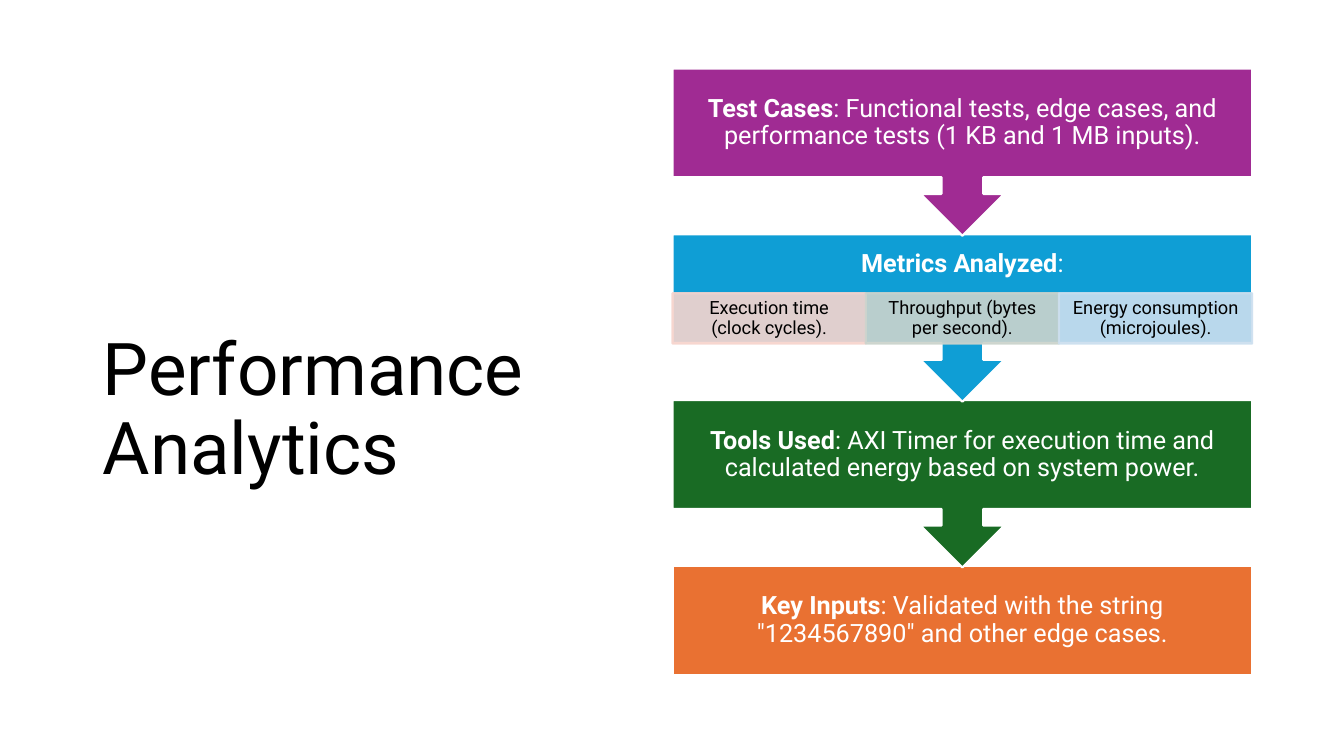
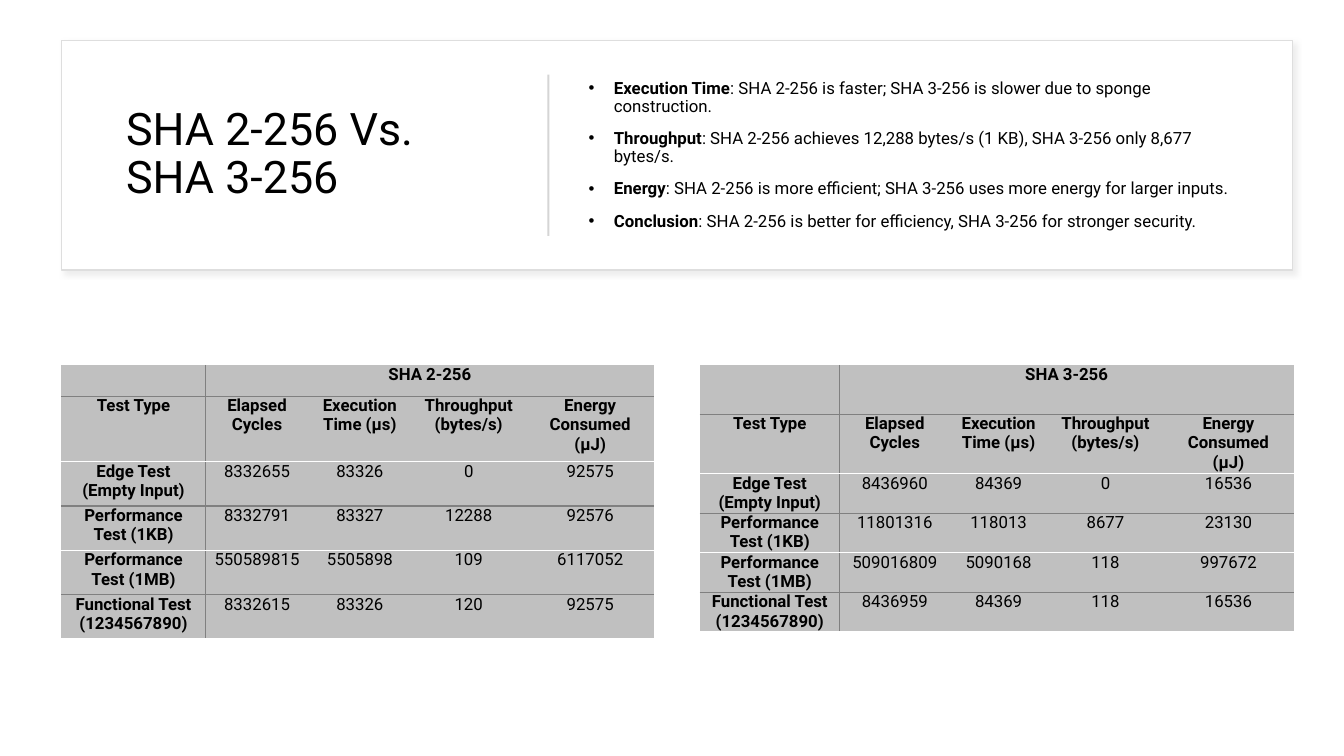
"""Build two slides on the performance of SHA 2-256 and SHA 3-256."""
from dataclasses import dataclass
from typing import Any, NamedTuple, Optional

import lxml.etree
import pptx
import pptx.dml.color
import pptx.enum.shapes
import pptx.enum.text
import pptx.oxml.ns
import pptx.util

Inches = pptx.util.Inches
Pt = pptx.util.Pt
RGBColor = pptx.dml.color.RGBColor
Preset = pptx.enum.shapes.MSO_SHAPE
Align = pptx.enum.text.PP_ALIGN
Anchor = pptx.enum.text.MSO_ANCHOR
qn = pptx.oxml.ns.qn

FONT = "Roboto"
BLACK = RGBColor(0x00, 0x00, 0x00)
WHITE = RGBColor(0xFF, 0xFF, 0xFF)
PURPLE = RGBColor(0xA0, 0x2B, 0x93)
BLUE = RGBColor(0x0F, 0x9E, 0xD5)
GREEN = RGBColor(0x19, 0x6B, 0x24)
ORANGE = RGBColor(0xE9, 0x71, 0x32)
PINK_TINT = RGBColor(0xF7, 0xD5, 0xCE)
GREEN_TINT = RGBColor(0xCC, 0xD4, 0xCD)
BLUE_TINT = RGBColor(0xCC, 0xDF, 0xEF)
CARD_EDGE = RGBColor(0xDE, 0xDE, 0xDE)
CARD_SHADOW = RGBColor(0xC5, 0xC5, 0xC5)
DIVIDER = RGBColor(0xD5, 0xD5, 0xD5)
CELL_GREY = RGBColor(0xC0, 0xC0, 0xC0)
RULE_GREY = RGBColor(0x80, 0x80, 0x80)

FLOW_LEFT, FLOW_TOP, FLOW_WIDTH = 6.67, 0.68, 5.75
STEP_HEIGHT, CALLOUT_HEIGHT, STEP_PITCH = 1.08, 1.66, 1.645
METRICS_TOP, METRIC_HEIGHT = 2.91, 0.5
TABLE_TOP = 3.62


class Box(NamedTuple):
    """Left, top, width and height in inches."""

    left: float
    top: float
    width: float
    height: float

    def lengths(self) -> list[int]:
        """Return the four measures as lengths."""
        return [Inches(value) for value in self]


class Point(NamedTuple):
    """A bold lead followed by plain text."""

    lead: str
    rest: str


@dataclass(frozen=True)
class Step:
    """One stage of the flow."""

    point: Point
    colour: RGBColor
    bottom_inset: float = 0.14


@dataclass(frozen=True)
class Metric:
    """One measured quantity under a stage."""

    label: str
    colour: RGBColor


@dataclass(frozen=True)
class Results:
    """Measurements of one hash function."""

    algorithm: str
    left: float
    columns: tuple[float, ...]
    rows: tuple[float, ...]
    values: tuple[tuple[str, ...], ...]


STEPS = (
    Step(Point("Test Cases", ": Functional tests, edge cases, and performance tests (1 KB and 1 MB inputs)."), PURPLE),
    Step(Point("Metrics Analyzed", ":"), BLUE, 0.63),
    Step(Point("Tools Used", ": AXI Timer for execution time and calculated energy based on system power."), GREEN),
    Step(Point("Key Inputs", ": Validated with the string \"1234567890\" and other edge cases."), ORANGE),
)
METRICS = (
    Metric("Execution time (clock cycles).", PINK_TINT),
    Metric("Throughput (bytes per second).", GREEN_TINT),
    Metric("Energy consumption (microjoules).", BLUE_TINT),
)
FINDINGS = (
    Point("Execution Time", ": SHA 2-256 is faster; SHA 3-256 is slower due to sponge construction."),
    Point("Throughput", ": SHA 2-256 achieves 12,288 bytes/s (1 KB), SHA 3-256 only 8,677 bytes/s."),
    Point("Energy", ": SHA 2-256 is more efficient; SHA 3-256 uses more energy for larger inputs."),
    Point("Conclusion", ": SHA 2-256 is better for efficiency, SHA 3-256 for stronger security."),
)
HEADINGS = ("Test Type", "Elapsed Cycles", "Execution Time (µs)", "Throughput (bytes/s)", "Energy Consumed (µJ)")
TESTS = (
    "Edge Test (Empty Input)",
    "Performance Test (1KB)",
    "Performance Test (1MB)",
    "Functional Test (1234567890)",
)
RESULTS = (
    Results(
        "SHA 3-256", 6.94, (1.39, 1.09, 0.97, 1.15, 1.29), (0.49, 0.56) + (0.38,) * 4,
        (
            ("8436960", "84369", "0", "16536"),
            ("11801316", "118013", "8677", "23130"),
            ("509016809", "5090168", "118", "997672"),
            ("8436959", "84369", "118", "16536"),
        ),
    ),
    Results(
        "SHA 2-256", 0.61, (1.43, 1.02, 1.02, 1.14, 1.27), (0.31, 0.65) + (0.44,) * 4,
        (
            ("8332655", "83326", "0", "92575"),
            ("8332791", "83327", "12288", "92576"),
            ("550589815", "5505898", "109", "6117052"),
            ("8332615", "83326", "120", "92575"),
        ),
    ),
)


def add_run(paragraph: Any, text: str, size: float, colour: RGBColor = BLACK, bold: bool = False) -> None:
    """Append a formatted run."""
    run = paragraph.add_run()
    run.text = text
    run.font.name = FONT
    run.font.size = Pt(size)
    run.font.bold = bold
    run.font.color.rgb = colour


def add_point(paragraph: Any, point: Point, size: float, colour: RGBColor = BLACK) -> None:
    """Write a bold lead and its plain text."""
    paragraph.line_spacing = 0.9
    add_run(paragraph, point.lead, size, colour, True)
    add_run(paragraph, point.rest, size, colour)


def set_insets(frame: Any, left: float, top: float, right: float, bottom: float) -> None:
    """Set the four insets of a text frame or cell."""
    frame.margin_left, frame.margin_top = Inches(left), Inches(top)
    frame.margin_right, frame.margin_bottom = Inches(right), Inches(bottom)


def add_panel(slide: Any, preset: Any, box: Box, fill: RGBColor,
              line: Optional[RGBColor] = None, line_width: float = 1.5) -> Any:
    """Add a filled shape with centred, wrapped text and no shadow."""
    panel = slide.shapes.add_shape(preset, *box.lengths())
    panel.shadow.inherit = False
    panel.fill.solid()
    panel.fill.fore_color.rgb = fill
    if line is None:
        panel.line.fill.background()
    else:
        panel.line.color.rgb = line
        panel.line.width = Pt(line_width)
    panel.text_frame.word_wrap = True
    panel.text_frame.vertical_anchor = Anchor.MIDDLE
    panel.text_frame.paragraphs[0].alignment = Align.CENTER
    return panel


def set_title(slide: Any, box: Box, lines: tuple[str, ...], size: float, top_inset: float = 0.05) -> None:
    """Place and write the title placeholder in front of what is drawn so far."""
    title = slide.shapes.title
    slide.shapes._spTree.append(title._element)
    title.left, title.top, title.width, title.height = box.lengths()
    frame = title.text_frame
    frame.auto_size = pptx.enum.text.MSO_AUTO_SIZE.NONE
    frame.word_wrap = True
    frame.vertical_anchor = Anchor.MIDDLE
    set_insets(frame, 0.1, top_inset, 0.1, 0.05)
    paragraph = frame.paragraphs[0]
    paragraph.alignment = Align.LEFT
    paragraph.line_spacing = 0.9
    for index, line in enumerate(lines):
        if index:
            paragraph.add_line_break()
        add_run(paragraph, line, size)


def add_flow(slide: Any) -> None:
    """Draw the stages from the last to the first, then the metrics."""
    for index, step in reversed(list(enumerate(STEPS))):
        last = index == len(STEPS) - 1
        preset = Preset.RECTANGLE if last else Preset.DOWN_ARROW_CALLOUT
        height = STEP_HEIGHT if last else CALLOUT_HEIGHT
        box = Box(FLOW_LEFT, FLOW_TOP + index * STEP_PITCH, FLOW_WIDTH, height)
        frame = add_panel(slide, preset, box, step.colour, WHITE).text_frame
        set_insets(frame, 0.14, 0.14, 0.14, step.bottom_inset)
        add_point(frame.paragraphs[0], step.point, 18, WHITE)
    width = FLOW_WIDTH / len(METRICS)
    for index, metric in enumerate(METRICS):
        box = Box(FLOW_LEFT + index * width, METRICS_TOP, width, METRIC_HEIGHT)
        chip = add_panel(slide, Preset.RECTANGLE, box, metric.colour, metric.colour)
        for colour in chip._element.spPr.iter(qn("a:srgbClr")):
            lxml.etree.SubElement(colour, qn("a:alpha"), val="90000")
        set_insets(chip.text_frame, 0.12, 0.02, 0.12, 0.02)
        paragraph = chip.text_frame.paragraphs[0]
        paragraph.line_spacing = 0.9
        add_run(paragraph, metric.label, 13)


def add_card(slide: Any) -> None:
    """Draw the framed card with its soft shadow and its divider."""
    card = add_panel(slide, Preset.RECTANGLE, Box(0.61, 0.4, 12.21, 2.28), WHITE, CARD_EDGE, 1)
    effects = card._element.spPr.find(qn("a:effectLst"))
    shadow = lxml.etree.SubElement(effects, qn("a:outerShdw"), blurRad=str(Pt(4)), dist=str(Pt(3)),
                                   dir="2700000", algn="tl", rotWithShape="0")
    colour = lxml.etree.SubElement(shadow, qn("a:srgbClr"), val=str(CARD_SHADOW))
    lxml.etree.SubElement(colour, qn("a:alpha"), val="30000")
    add_panel(slide, Preset.RECTANGLE, Box(5.43, 0.74, 0.02, 1.6), DIVIDER)


def add_findings(slide: Any) -> None:
    """Write the bulleted findings."""
    frame = slide.shapes.add_textbox(*Box(5.74, 0.64, 6.68, 1.8).lengths()).text_frame
    frame.word_wrap = True
    frame.vertical_anchor = Anchor.MIDDLE
    for index, finding in enumerate(FINDINGS):
        paragraph = frame.add_paragraph() if index else frame.paragraphs[0]
        add_point(paragraph, finding, 12)
        paragraph.space_before = Pt(10)
        properties = paragraph._p.get_or_add_pPr()
        properties.set("marL", str(Inches(0.25)))
        properties.set("indent", str(-Inches(0.25)))
        lxml.etree.SubElement(properties, qn("a:buFont"), typeface="Arial")
        lxml.etree.SubElement(properties, qn("a:buChar"), char="•")


def set_borders(cell: Any, borders: dict[str, Optional[RGBColor]]) -> None:
    """Set the cell borders, given in left, right, top, bottom order."""
    properties = cell._tc.get_or_add_tcPr()
    for index, (side, colour) in enumerate(borders.items()):
        line = lxml.etree.Element(qn(f"a:ln{side}"), w=str(Pt(1)))
        if colour is None:
            lxml.etree.SubElement(line, qn("a:noFill"))
        else:
            fill = lxml.etree.SubElement(line, qn("a:solidFill"))
            lxml.etree.SubElement(fill, qn("a:srgbClr"), val=str(colour))
        properties.insert(index, line)


def add_results(slide: Any, results: Results) -> None:
    """Draw the table of one hash function."""
    texts = [("", results.algorithm, "", "", ""), HEADINGS]
    texts += [(test, *values) for test, values in zip(TESTS, results.values)]
    box = Box(results.left, TABLE_TOP, sum(results.columns), sum(results.rows))
    table = slide.shapes.add_table(len(results.rows), len(results.columns), *box.lengths()).table
    table.first_row = table.horz_banding = False
    for column, width in zip(table.columns, results.columns):
        column.width = Inches(width)
    for row, height in zip(table.rows, results.rows):
        row.height = Inches(height)
    table.cell(0, 1).merge(table.cell(0, len(results.columns) - 1))
    rules = [None] + [(RULE_GREY, WHITE)[index % 2] for index in range(len(texts))]
    for row, words in enumerate(texts):
        for column, word in enumerate(words):
            cell = table.cell(row, column)
            set_insets(cell, 0.07, 0, 0.07, 0)
            cell.fill.solid()
            cell.fill.fore_color.rgb = CELL_GREY
            set_borders(cell, {
                "L": RULE_GREY if column == 1 else None,
                "R": RULE_GREY if column == 0 else None,
                "T": rules[row],
                "B": rules[row + 1],
            })
            paragraph = cell.text_frame.paragraphs[0]
            paragraph.alignment = Align.CENTER
            paragraph.line_spacing = 0.98
            if word:
                add_run(paragraph, word, 12, bold=row < 2 or column == 0)
            else:
                lxml.etree.SubElement(paragraph._p, qn("a:endParaRPr"), sz="1200")


def main() -> None:
    """Build and save the presentation."""
    deck = pptx.Presentation()
    deck.slide_width, deck.slide_height = Inches(13.33), Inches(7.5)
    title_only = deck.slide_layouts[5]

    analytics = deck.slides.add_slide(title_only)
    set_title(analytics, Box(0.92, 0.61, 5.32, 6.09), ("Performance Analytics",), 52, 0.9)
    add_flow(analytics)

    comparison = deck.slides.add_slide(title_only)
    add_card(comparison)
    set_title(comparison, Box(1.15, 0.64, 4, 1.8), ("SHA 2-256 Vs.", "SHA 3-256"), 32)
    add_findings(comparison)
    for results in RESULTS:
        add_results(comparison, results)
    deck.save("out.pptx")


if __name__ == "__main__":
    main()
